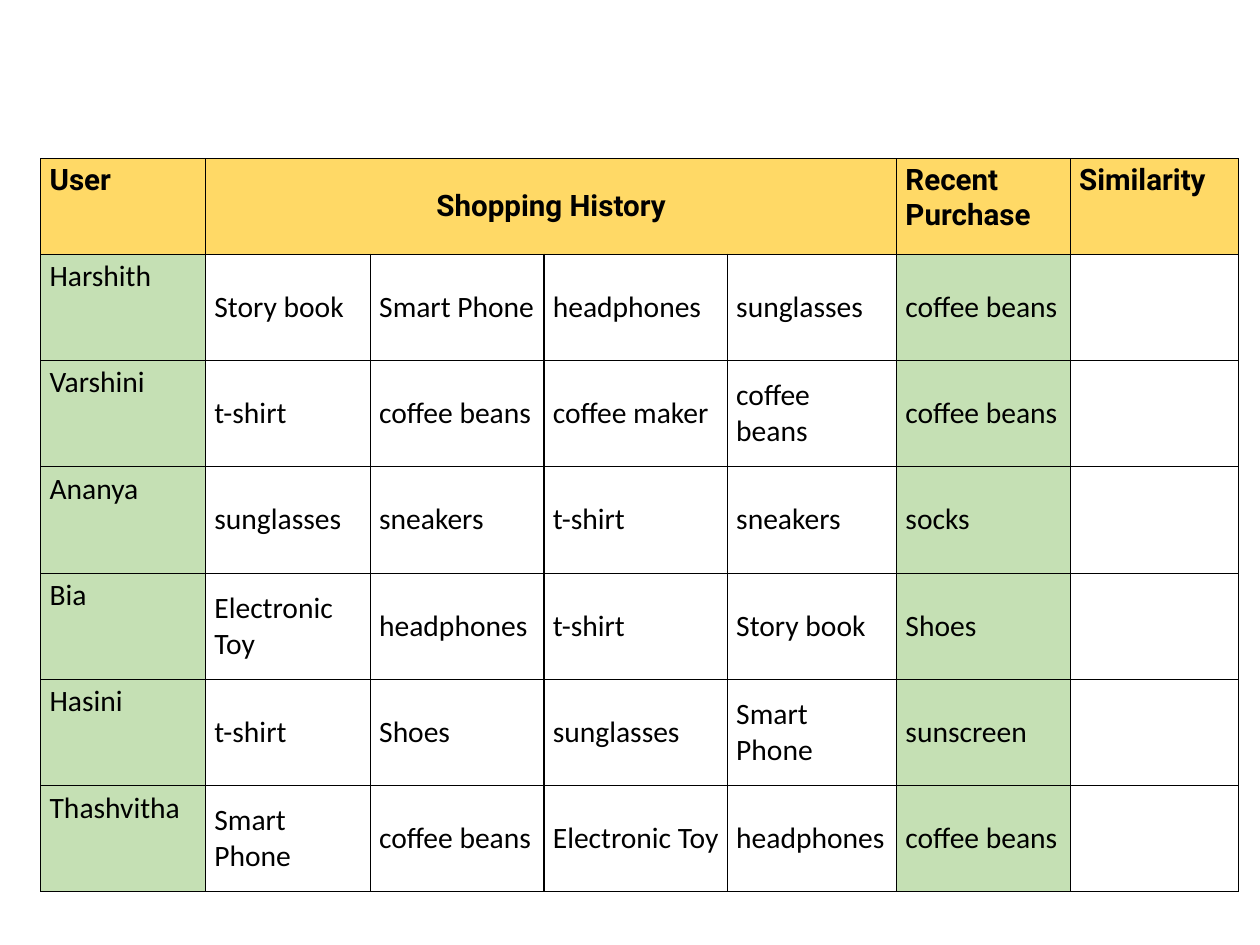
from lxml import etree
from pptx import Presentation
from pptx import util as u
from pptx.dml.color import RGBColor
from pptx.enum import text
from pptx.oxml.ns import qn

PX = 9144  # EMU, 100 px to the inch
BLACK, WHITE, YELLOW, GREEN = "000000", "FFFFFF", "FFD966", "C5E0B4"

COLUMNS = [186, 186, 196, 207, 191, 196, 190]
ROWS = [108] + [120] * 6
HEADER = ["User", "Shopping History", "", "", "", "Recent Purchase", "Similarity"]
SHOPPERS = [
    ["Harshith", "Story book", "Smart Phone", "headphones", "sunglasses", "coffee beans", ""],
    ["Varshini", "t-shirt", "coffee beans", "coffee maker", "coffee beans", "coffee beans", ""],
    ["Ananya", "sunglasses", "sneakers", "t-shirt", "sneakers", "socks", ""],
    ["Bia", "Electronic Toy", "headphones", "t-shirt", "Story book", "Shoes", ""],
    ["Hasini", "t-shirt", "Shoes", "sunglasses", "Smart Phone", "sunscreen", ""],
    ["Thashvitha", "Smart Phone", "coffee beans", "Electronic Toy", "headphones",
     "coffee beans", ""],
]
USER, HISTORY_START, HISTORY_END, RECENT = 0, 1, 4, 5


def px(n):
    return u.Emu(n * PX)


def rgb(color):
    return RGBColor.from_string(color)


class SlideBuilder:
    def __init__(self, prs):
        self.size = u.Pt(24)
        self.border = u.Pt(1)
        self.slide = prs.slides.add_slide(prs.slide_layouts[6])

    def table(self, left, top, columns, rows):
        frame = self.slide.shapes.add_table(
            len(rows), len(columns), px(left), px(top), px(sum(columns)), px(sum(rows)))
        table = frame.table
        for column, width in zip(table.columns, columns):
            column.width = px(width)
        for row, height in zip(table.rows, rows):
            row.height = px(height)
        return table

    def borders(self, cell):
        tc_pr = cell._tc.get_or_add_tcPr()
        for side in ("a:lnL", "a:lnR", "a:lnT", "a:lnB"):
            ln = etree.SubElement(tc_pr, qn(side), w=str(self.border))
            fill = etree.SubElement(ln, qn("a:solidFill"))
            etree.SubElement(fill, qn("a:srgbClr"), val=BLACK)

    def cell(self, cell, words, fill, font="Calibri", bold=False, middle=False, center=False):
        self.borders(cell)
        cell.fill.solid()
        cell.fill.fore_color.rgb = rgb(fill)
        cell.vertical_anchor = text.MSO_ANCHOR.MIDDLE if middle else text.MSO_ANCHOR.TOP
        if not words:
            return
        cell.text = words
        p = cell.text_frame.paragraphs[0]
        p.alignment = text.PP_ALIGN.CENTER if center else text.PP_ALIGN.LEFT
        p.font.name = font
        p.font.size = self.size
        p.font.bold = bold
        p.font.color.rgb = rgb(BLACK)


def main():
    prs = Presentation()
    prs.slide_width, prs.slide_height = px(1422), px(1067)
    s = SlideBuilder(prs)
    table = s.table(46, 179, COLUMNS, ROWS)

    table.cell(0, HISTORY_START).merge(table.cell(0, HISTORY_END))
    for c, words in enumerate(HEADER):
        history = c == HISTORY_START
        s.cell(table.cell(0, c), words, YELLOW, "Roboto", True, history, history)

    for r, shopper in enumerate(SHOPPERS, 1):
        for c, words in enumerate(shopper):
            fill = GREEN if c in (USER, RECENT) else WHITE
            s.cell(table.cell(r, c), words, fill, middle=c != USER)

    prs.save("out.pptx")


if __name__ == "__main__":
    main()
